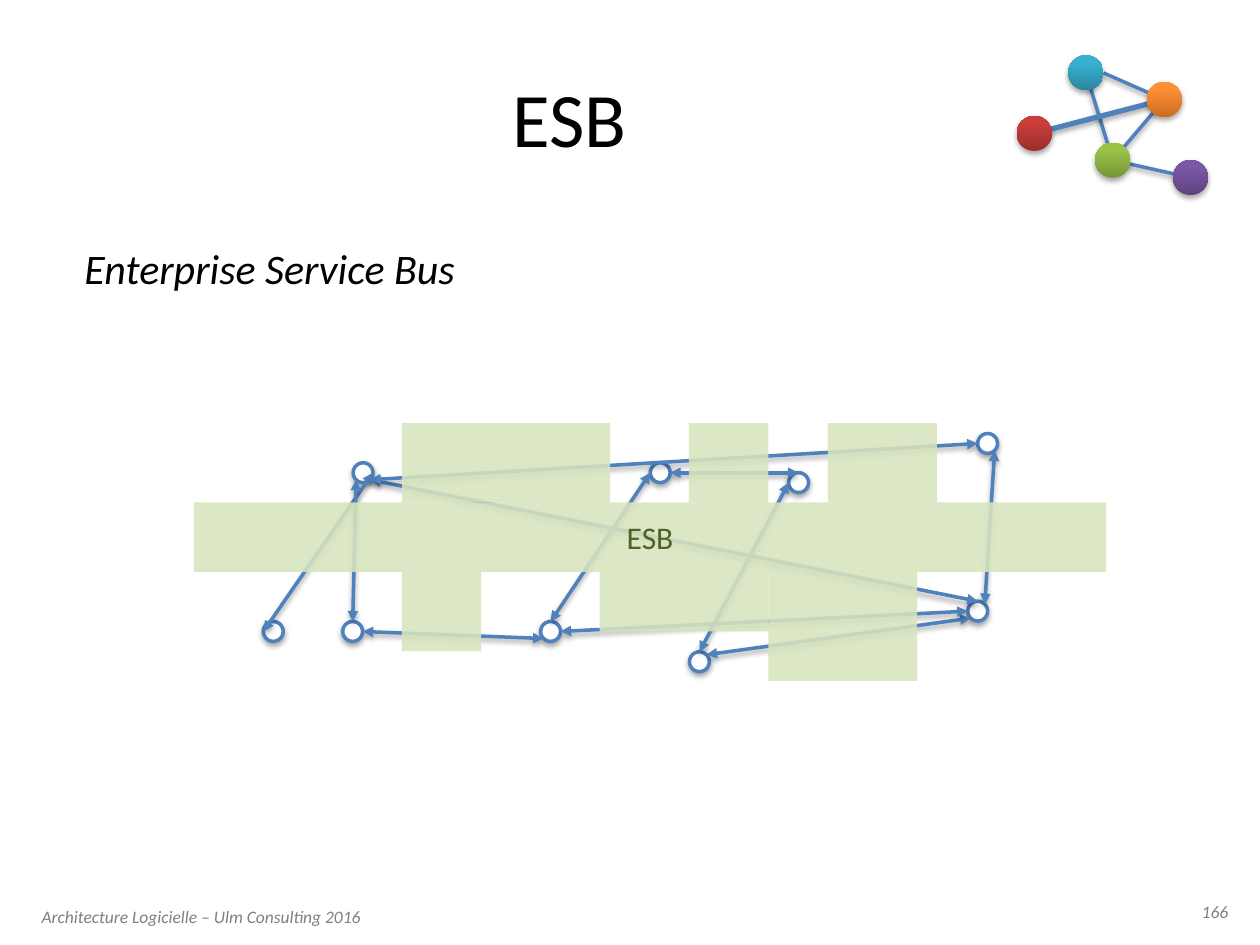
"""Build the ESB slide: a mesh of services crossed by an enterprise service bus."""
from typing import NamedTuple

from lxml.etree import SubElement
from pptx import Presentation
from pptx.dml.color import RGBColor
from pptx.enum.shapes import MSO_CONNECTOR, MSO_SHAPE
from pptx.enum.text import MSO_ANCHOR, MSO_AUTO_SIZE, PP_ALIGN
from pptx.oxml.ns import qn
from pptx.util import Cm, Pt

BLUE, GREEN = "4F81BD", "D7E4BD"
SITES = {"": (0, 0), "t": (0, -1), "b": (0, 1), "l": (-1, 0), "r": (1, 0),
         "tr": (0.71, -0.71), "bl": (-0.71, 0.71), "br": (0.71, 0.71)}


class Node(NamedTuple):
    x: float
    y: float
    size: float = 0.4
    dark: str = ""
    light: str = "FFFFFF"

    def site(self, name: str) -> tuple:
        dx, dy = SITES[name]
        return Cm(self.x + dx * self.size / 2), Cm(self.y + dy * self.size / 2)


class Link(NamedTuple):
    start: str
    start_site: str
    end: str
    end_site: str
    width: float = 2


class Panel(NamedTuple):
    left: float
    top: float
    width: float
    height: float


BUS = Panel(3.91, 10.13, 18.39, 1.4)
BUS_BOTTOM = BUS.top + BUS.height
PANELS = [BUS,
          Panel(8.1, BUS_BOTTOM, 1.6, 1.6),
          Panel(15.49, BUS_BOTTOM, 3, 2.2),
          Panel(12.09, BUS_BOTTOM, 3.4, 1.2)]
PANELS += [Panel(left, BUS.top - 1.6, width, 1.6)
           for left, width in ((13.89, 1.6), (8.1, 4.2), (16.69, 2.2))]

EMBLEM = {
    "cyan": Node(21.89, 1.47, 0.71, "2A869F", "37B1D1"),
    "orange": Node(23.47, 2.01, 0.71, "C96D20", "FF9034"),
    "green": Node(22.43, 3.23, 0.71, "769537", "9BC348"),
    "red": Node(20.85, 2.69, 0.71, "9A2F2C", "CA3E3A"),
    "purple": Node(24, 3.58, 0.71, "5E437E", "7B58A6"),
}
EMBLEM_LINKS = [
    Link("cyan", "", "green", ""), Link("red", "", "orange", "", 3),
    Link("cyan", "r", "orange", ""), Link("green", "", "purple", ""),
    Link("orange", "", "green", ""),
]
SERVICES = {
    "A": Node(7.32, 9.53), "B": Node(11.1, 12.73), "C": Node(7.11, 12.73),
    "D": Node(19.91, 8.94), "E": Node(13.31, 9.53), "F": Node(16.1, 9.73),
    "G": Node(19.71, 12.32), "H": Node(5.51, 12.73), "I": Node(14.1, 13.34),
}
SERVICE_LINKS = [
    Link("A", "r", "H", "l"), Link("A", "br", "G", "t"), Link("A", "bl", "C", "t"),
    Link("I", "tr", "G", "bl"), Link("B", "t", "E", "l"), Link("D", "br", "G", "tr"),
    Link("A", "br", "D", "l"), Link("E", "r", "F", "t"), Link("B", "r", "G", "l"),
    Link("F", "l", "I", "t"), Link("B", "bl", "C", "r"),
]


def rgb(color: str) -> RGBColor:
    return RGBColor.from_string(color)


def place(sp, left: float, top: float, width: float, height: float) -> None:
    sp.left, sp.top, sp.width, sp.height = Cm(left), Cm(top), Cm(width), Cm(height)


def write(tf, text: str, *, size: float, color: str = "000000", italic: bool = False,
          align=PP_ALIGN.LEFT, anchor=MSO_ANCHOR.TOP, inset: float = 0, wrap: bool = True):
    tf.auto_size, tf.word_wrap, tf.vertical_anchor = MSO_AUTO_SIZE.NONE, wrap, anchor
    tf.margin_left = tf.margin_right = tf.margin_top = tf.margin_bottom = Cm(inset)
    p = tf.paragraphs[0]
    p.alignment, p.space_before = align, Pt(0)
    r = p.add_run()
    r.text = text
    r.font.name, r.font.size, r.font.italic = "Calibri", Pt(size), italic
    r.font.color.rgb = rgb(color)
    return p


def add_text(s, box: tuple, text: str, **style) -> None:
    write(s.shapes.add_textbox(*map(Cm, box)).text_frame, text, **style)


def add_shadow(sp) -> None:
    effects = SubElement(sp._element.spPr, qn("a:effectLst"))
    shadow = SubElement(effects, qn("a:outerShdw"), blurRad=str(Pt(3)), dist=str(Pt(1.8)),
                        dir="5400000", rotWithShape="0")
    black = SubElement(shadow, qn("a:srgbClr"), val="000000")
    SubElement(black, qn("a:alpha"), val="35000")


def draw_node(s, node: Node) -> None:
    left, top = node.x - node.size / 2, node.y - node.size / 2
    sp = s.shapes.add_shape(MSO_SHAPE.OVAL, *map(Cm, (left, top, node.size, node.size)))
    if node.dark:
        sp.fill.gradient()
        sp.fill.gradient_angle = 90
        for stop, color, position in zip(sp.fill.gradient_stops, (node.dark, node.light), (0, 0.8)):
            stop.color.rgb, stop.position = rgb(color), position
        sp.line.fill.background()
    else:
        sp.fill.solid()
        sp.fill.fore_color.rgb = rgb(node.light)
        sp.line.color.rgb, sp.line.width = rgb(BLUE), Pt(2)
    add_shadow(sp)


def draw_link(s, nodes: dict, link: Link, arrows: bool) -> None:
    start = nodes[link.start].site(link.start_site)
    end = nodes[link.end].site(link.end_site)
    sp = s.shapes.add_connector(MSO_CONNECTOR.STRAIGHT, *start, *end)
    sp.line.color.rgb, sp.line.width = rgb(BLUE), Pt(link.width)
    if arrows:
        for tag in ("a:headEnd", "a:tailEnd"):
            SubElement(sp.line._get_or_add_ln(), qn(tag), type="triangle")
    add_shadow(sp)


def draw_panel(s, panel: Panel) -> None:
    sp = s.shapes.add_shape(MSO_SHAPE.RECTANGLE, *map(Cm, panel))
    sp.shadow.inherit = False
    sp.fill.solid()
    sp.fill.fore_color.rgb = rgb(GREEN)
    SubElement(sp._element.spPr.find(".//" + qn("a:srgbClr")), qn("a:alpha"), val="88000")
    sp.line.fill.background()


def main() -> None:
    prs = Presentation()
    prs.slide_width, prs.slide_height = Cm(25.4), Cm(19.05)
    s = prs.slides.add_slide(prs.slide_layouts[1])
    title, body = s.placeholders[0], s.placeholders[1]
    place(title, 1.27, 0.76, 20.42, 3.18)
    write(title.text_frame, "ESB", size=44, align=PP_ALIGN.CENTER, anchor=MSO_ANCHOR.MIDDLE)
    place(body, 1.7, 4.88, 22.86, 4.29)
    p = write(body.text_frame, "Enterprise Service Bus", size=24, italic=True)
    pPr = p._p.get_or_add_pPr()
    pPr.set("marL", str(Cm(0.74)))
    pPr.set("indent", str(Cm(-0.74)))
    SubElement(pPr, qn("a:buNone"))

    footer = dict(size=10, color="808080", italic=True, inset=0.13)
    add_text(s, (0.71, 18.14, 7.39, 0.8), "Architecture Logicielle – Ulm Consulting 2016", **footer)
    add_text(s, (24.05, 18.03, 0.84, 0.64), "166", align=PP_ALIGN.RIGHT, wrap=False, **footer)

    for link in EMBLEM_LINKS:
        draw_link(s, EMBLEM, link, arrows=False)
    for node in (*EMBLEM.values(), *SERVICES.values()):
        draw_node(s, node)
    for link in SERVICE_LINKS:
        draw_link(s, SERVICES, link, arrows=True)
    for panel in PANELS:
        draw_panel(s, panel)
    add_text(s, BUS, "ESB", size=18, color="4F6228", align=PP_ALIGN.CENTER,
             anchor=MSO_ANCHOR.MIDDLE)
    prs.save("out.pptx")


if __name__ == "__main__":
    main()
